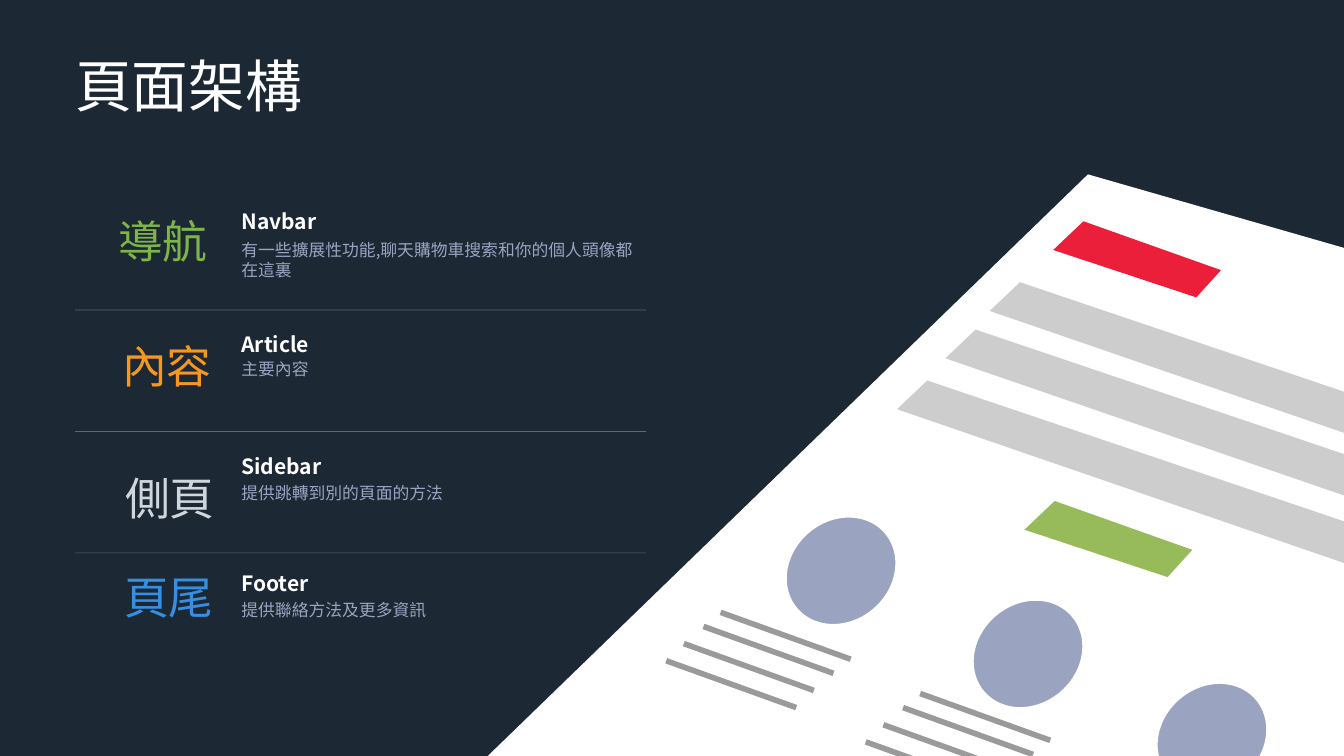
from dataclasses import dataclass

from pptx import Presentation
from pptx.dml.color import RGBColor
from pptx.enum.shapes import MSO_CONNECTOR, MSO_SHAPE
from pptx.enum.text import MSO_ANCHOR, MSO_AUTO_SIZE, PP_ALIGN
from pptx.oxml.ns import qn
from pptx.util import Pt
from lxml import etree

PX = 9144
STRAIGHT = MSO_CONNECTOR.STRAIGHT
OVAL = MSO_SHAPE.OVAL
TOP, MIDDLE = MSO_ANCHOR.TOP, MSO_ANCHOR.MIDDLE
LEFT, RIGHT = PP_ALIGN.LEFT, PP_ALIGN.RIGHT
FIT_SHAPE = MSO_AUTO_SIZE.SHAPE_TO_FIT_TEXT


@dataclass(frozen=True)
class Theme:
    font: str = "Noto Sans CJK SC"
    background: str = "1D2835"
    white: str = "FFFFFF"
    muted: str = "9BA3C0"
    green: str = "7DB546"
    orange: str = "F6981F"
    silver: str = "CFD6DC"
    blue: str = "368FE2"
    banner: str = "EC1F3A"
    bar: str = "CDCDCD"
    button: str = "97BB5B"
    avatar: str = "9AA3BF"
    stroke: str = "9A9A9A"
    title_size: int = 81
    label_size: int = 64
    heading_size: int = 30
    body_size: int = 24


THEME = Theme()
WIDTH, HEIGHT = 2667, 1500
ROW_LEFT, ROW_TOP, ROW_WIDTH, ROW_HEIGHT = 149, 374, 1133, 241
ROWS = [
    dict(label="導航", color=THEME.green, heading="Navbar",
         body="有一些擴展性功能,聊天購物車搜索和你的個人頭像都在這裏",
         label_at=(83, 49), heading_top=32, body_top=102),
    dict(label="內容", color=THEME.orange, heading="Article", body="主要內容",
         label_at=(91, 56), heading_top=36, body_top=97),
    dict(label="側頁", color=THEME.silver, heading="Sidebar", body="提供跳轉到別的頁面的方法",
         label_at=(97, 78), heading_top=36, body_top=102),
    dict(label="頁尾", color=THEME.blue, heading="Footer", body="提供聯絡方法及更多資訊",
         label_at=(95, 32), heading_top=27, body_top=93),
]
PAGE = [(0, 1154), (1191, 0), (2424, 354), (1758, 1169)]
BUTTON = [(60, 0), (0, 57), (284, 151), (333, 97)]
BAR = [(60, 0), (0, 57), (1038, 414), (1099, 351)]
BUTTONS = [(1122, 93, THEME.banner), (1065, 648, THEME.button)]
BARS = [(996, 214), (908, 308), (812, 409)]
AVATARS = [(701, 786), (1072, 951), (1437, 1116)]
CAPTIONS = [(462, 869), (858, 1030)]
CAPTION_STEPS = [(0, 0), (-34, 28), (-73, 62), (-108, 96)]


def add_text(shapes, text, box, *, size, color, bold=False, align=LEFT,
             anchor=MIDDLE, wrap=True):
    shape = shapes.add_textbox(*(value * PX for value in box))
    frame = shape.text_frame
    frame.margin_left = frame.margin_top = frame.margin_right = frame.margin_bottom = 0
    frame.word_wrap = wrap
    frame.vertical_anchor = anchor
    if not wrap:
        frame.auto_size = FIT_SHAPE
    paragraph = frame.paragraphs[0]
    paragraph.alignment = align
    run = paragraph.add_run()
    run.text = text
    font = run.font
    font.name, font.size, font.bold = THEME.font, Pt(size), bold
    font.color.rgb = RGBColor.from_string(color)
    latin = run._r.get_or_add_rPr().find(qn("a:latin"))
    east_asian = etree.Element(qn("a:ea"), typeface=THEME.font)
    latin.addnext(east_asian)


def add_line(shapes, start, end, *, color, width, opacity=100):
    line = shapes.add_connector(STRAIGHT, *(value * PX for value in (*start, *end)))
    line.line.color.rgb = RGBColor.from_string(color)
    line.line.width = Pt(width)
    properties = line._element.spPr
    etree.SubElement(properties, qn("a:effectLst"))
    if opacity < 100:
        fill = next(properties.iter(qn("a:srgbClr")))
        etree.SubElement(fill, qn("a:alpha"), val=str(opacity * 1000))


def paint(shape, color):
    shape.shadow.inherit = False
    shape.fill.solid()
    shape.fill.fore_color.rgb = RGBColor.from_string(color)
    shape.line.fill.background()


def add_polygon(shapes, points, left, top, color):
    placed = [(left + x, top + y) for x, y in points]
    builder = shapes.build_freeform(*placed[0], scale=PX)
    builder.add_line_segments(placed[1:], close=True)
    paint(builder.convert_to_shape(), color)


def add_avatar(shapes, center_x, center_y):
    width, height = 200, 231
    shape = shapes.add_shape(OVAL, (center_x - width // 2) * PX,
                             (center_y - height // 2) * PX, width * PX, height * PX)
    paint(shape, THEME.avatar)
    shape.rotation = 49.1
    shape.line.color.rgb = RGBColor.from_string(THEME.white)
    shape.line.width = Pt(2)


def add_caption(shapes, left, top):
    for step_x, step_y in CAPTION_STEPS:
        x, y = left + step_x, top + step_y
        add_line(shapes, (x, y), (x + 258, y + 93), color=THEME.stroke, width=8)


def add_page_mockup(slide, left, top):
    shapes = slide.shapes.add_group_shape().shapes
    add_polygon(shapes, PAGE, left, top, THEME.white)
    for x, y, color in BUTTONS:
        add_polygon(shapes, BUTTON, left + x, top + y, color)
    for x, y in BARS:
        add_polygon(shapes, BAR, left + x, top + y, THEME.bar)
    for x, y in AVATARS:
        add_avatar(shapes, left + x, top + y)
    for x, y in CAPTIONS:
        add_caption(shapes, left + x, top + y)


def add_row(slide, box, *, label, color, heading, body, label_at, heading_top,
            body_top, divider):
    left, top, width, height = box
    shapes = slide.shapes.add_group_shape().shapes
    text_left = left + 330
    if divider:
        bottom = top + height
        add_line(shapes, (left, bottom), (left + width, bottom),
                 color=THEME.white, width=1, opacity=30)
    add_text(shapes, heading, (text_left, top + heading_top, 788, 65),
             size=THEME.heading_size, color=THEME.white, bold=True)
    add_text(shapes, body, (text_left, top + body_top, 788, 100),
             size=THEME.body_size, color=THEME.muted, anchor=TOP)
    add_text(shapes, label, (left + label_at[0], top + label_at[1], 180, 108),
             size=THEME.label_size, color=color, align=RIGHT, wrap=False)


def main():
    presentation = Presentation()
    presentation.slide_width, presentation.slide_height = WIDTH * PX, HEIGHT * PX
    slide = presentation.slides.add_slide(presentation.slide_layouts[6])
    slide.background.fill.solid()
    slide.background.fill.fore_color.rgb = RGBColor.from_string(THEME.background)
    add_text(slide.shapes, "頁面架構", (149, 101, 454, 136),
             size=THEME.title_size, color=THEME.white, wrap=False)
    add_page_mockup(slide, 968, 346)
    for index, row in enumerate(ROWS):
        box = (ROW_LEFT, ROW_TOP + index * ROW_HEIGHT, ROW_WIDTH, ROW_HEIGHT)
        add_row(slide, box, divider=index < len(ROWS) - 1, **row)
    presentation.save("out.pptx")


if __name__ == "__main__":
    main()
